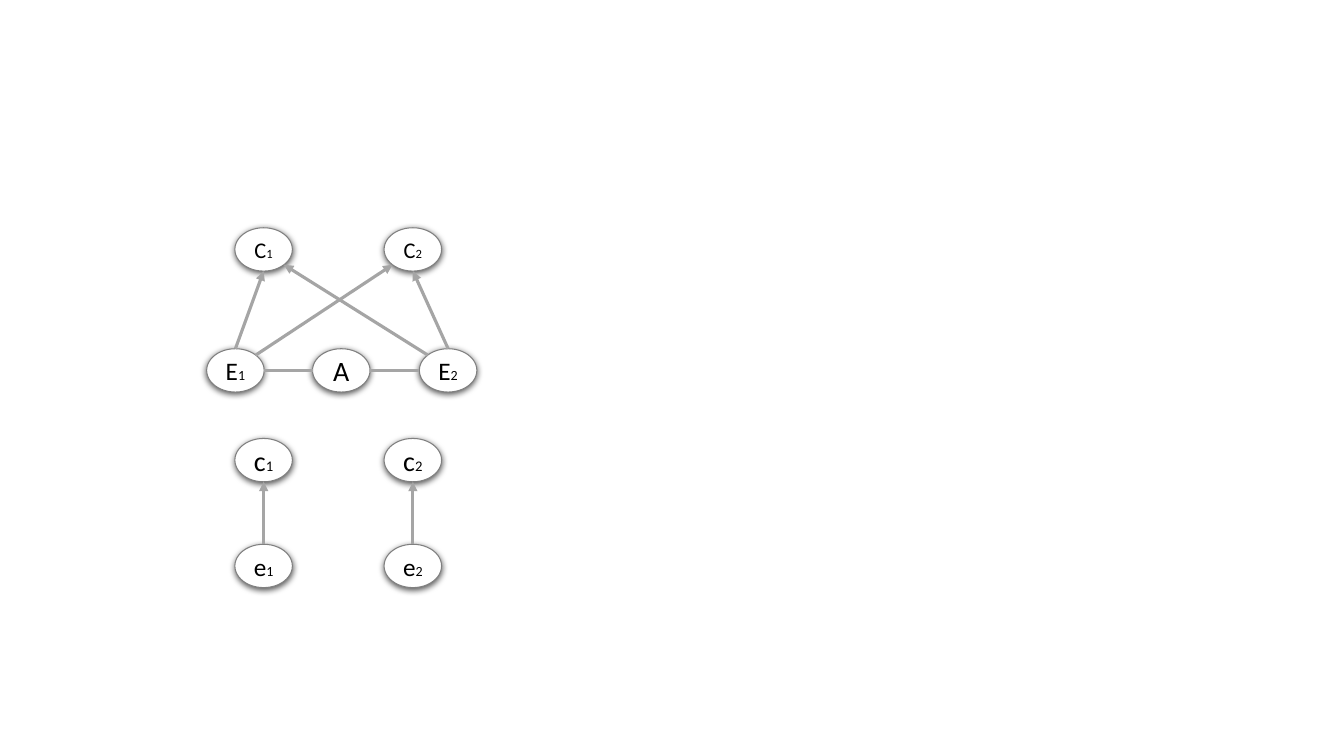
import math
from lxml import etree
from pptx import Presentation
from pptx.dml.color import RGBColor
from pptx.enum.shapes import MSO_CONNECTOR, MSO_SHAPE
from pptx.enum.text import MSO_ANCHOR, PP_ALIGN
from pptx.oxml import parse_xml
from pptx.oxml.ns import nsdecls, qn
from pptx.util import Inches, Pt

OVAL, STRAIGHT = MSO_SHAPE.OVAL, MSO_CONNECTOR.STRAIGHT
MIDDLE, CENTER = MSO_ANCHOR.MIDDLE, PP_ALIGN.CENTER
WHITE = RGBColor(0xFF, 0xFF, 0xFF)
BLACK = RGBColor(0, 0, 0)
OUTLINE = RGBColor(0x80, 0x80, 0x80)
LINK = RGBColor(0xA5, 0xA5, 0xA5)
FONT = "Calibri"
NODE_W, NODE_H = 0.57, 0.43

# Nodes: label, left, top, letter size, index size
NODES = [
    ("C1", 2.33, 2.26, 16, 9),
    ("C2", 3.81, 2.26, 16, 9),
    ("E1", 2.05, 3.46, 18, 10),
    ("A", 3.1, 3.46, 20, None),
    ("E2", 4.16, 3.46, 18, 10),
    ("c1", 2.33, 4.35, 20, 10.5),
    ("c2", 3.81, 4.35, 20, 10.5),
    ("e1", 2.33, 5.4, 18, 10),
    ("e2", 3.81, 5.4, 18, 10),
]

# Oval connection sites, counter-clockwise from the top in 45 degree steps
TOP, TOP_LEFT, LEFT, BOTTOM_LEFT, BOTTOM, BOTTOM_RIGHT, RIGHT, TOP_RIGHT = range(8)

# Links: from node, site, to node, site, arrowhead
LINKS = [
    ("E1", TOP, "C1", BOTTOM, True),
    ("E1", TOP_RIGHT, "C2", BOTTOM_LEFT, True),
    ("E2", TOP_LEFT, "C1", BOTTOM_RIGHT, True),
    ("E2", TOP, "C2", BOTTOM, True),
    ("e1", TOP, "c1", BOTTOM, True),
    ("e2", TOP, "c2", BOTTOM, True),
    ("E1", RIGHT, "A", LEFT, False),
    ("A", RIGHT, "E2", LEFT, False),
]

SHADOW = (
    f'<a:effectLst {nsdecls("a")}><a:outerShdw blurRad="{Pt(4.5)}" dist="{Pt(1.5)}" '
    'dir="5400000" rotWithShape="0"><a:srgbClr val="000000"><a:alpha val="63000"/>'
    '</a:srgbClr></a:outerShdw></a:effectLst>'
)

prs = Presentation()
prs.slide_width, prs.slide_height = Inches(13.33), Inches(7.5)
s = prs.slides.add_slide(prs.slide_layouts[6])


def add_node(label, left, top, letter_size, index_size):
    sp = s.shapes.add_shape(OVAL, Inches(left), Inches(top), Inches(NODE_W), Inches(NODE_H))
    sp.fill.solid()
    sp.fill.fore_color.rgb = WHITE
    sp.line.color.rgb = OUTLINE
    sp.line.width = Pt(0.75)
    sp._element.spPr.append(parse_xml(SHADOW))
    tf = sp.text_frame
    tf.word_wrap = False
    tf.vertical_anchor = MIDDLE
    tf.margin_left = tf.margin_right = tf.margin_top = tf.margin_bottom = 0
    p = tf.paragraphs[0]
    p.alignment = CENTER
    for text, size in zip(label, (letter_size, index_size)):
        r = p.add_run()
        r.text = text
        r.font.name = FONT
        r.font.size = Pt(size)
        r.font.color.rgb = BLACK
    return sp


def site_point(sp, site):
    angle = math.radians(90 + 45 * site)
    x = sp.left + sp.width / 2 * (1 + math.cos(angle))
    y = sp.top + sp.height / 2 * (1 - math.sin(angle))
    return round(x), round(y)


def add_link(start, start_site, end, end_site, arrow):
    c = s.shapes.add_connector(STRAIGHT, *site_point(start, start_site), *site_point(end, end_site))
    c.line.color.rgb = LINK
    c.line.width = Pt(2.25)
    if arrow:
        etree.SubElement(c.line._get_or_add_ln(), qn("a:tailEnd"), type="triangle")
    etree.SubElement(c._element.spPr, qn("a:effectLst"))
    # Glue both ends to their nodes
    glue = c._element.find(".//" + qn("p:cNvCxnSpPr"))
    for tag, sp, site in (("a:stCxn", start, start_site), ("a:endCxn", end, end_site)):
        etree.SubElement(glue, qn(tag), id=str(sp.shape_id), idx=str(site))


# Nodes first, then the links between them
ovals = {node[0]: add_node(*node) for node in NODES}
for start, start_site, end, end_site, arrow in LINKS:
    add_link(ovals[start], start_site, ovals[end], end_site, arrow)

prs.save("out.pptx")
